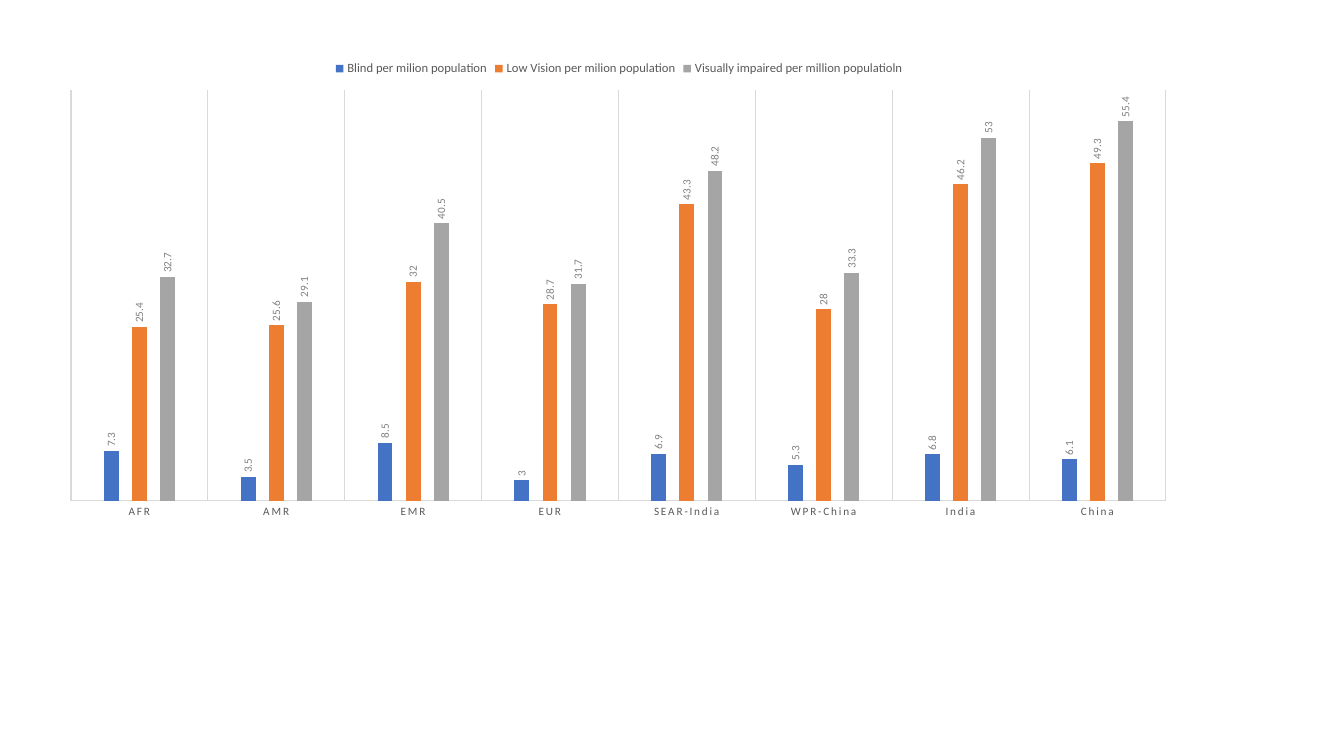
from dataclasses import dataclass

from lxml.etree import SubElement
from pptx import Presentation
from pptx.chart.data import CategoryChartData
from pptx.dml.color import RGBColor
from pptx.enum.chart import (XL_CHART_TYPE, XL_LABEL_POSITION, XL_LEGEND_POSITION,
                             XL_TICK_LABEL_POSITION, XL_TICK_MARK)
from pptx.oxml.ns import qn
from pptx.util import Emu, Pt

EMU_PER_PIXEL = 914400 / 100.8
SLIDE_SIZE = (1344, 756)
CHART_BOX = (49, 50, 1140, 478)
PLOT_BOX = (71, 90, 1095, 411)

REGIONS = ("AFR", "AMR", "EMR", "EUR", "SEAR-India", "WPR-China", "India", "China")
RATES = {
    "Blind per milion population": (7.3, 3.5, 8.5, 3, 6.9, 5.3, 6.8, 6.1),
    "Low Vision per milion population": (25.4, 25.6, 32, 28.7, 43.3, 28, 46.2, 49.3),
    "Visually impaired per million populatioln": (32.7, 29.1, 40.5, 31.7, 48.2, 33.3, 53, 55.4),
}


@dataclass(frozen=True)
class Theme:
    """Colours, font and type sizes of the slide."""
    font: str = "Calibri"
    series: tuple = ("4472C4", "ED7D31", "A5A5A5")
    text: str = "595959"
    label: str = "808080"
    rule: str = "D9D9D9"
    base_size: int = 10
    legend_size: int = 9
    small_size: int = 8
    rule_width: float = 0.75
    axis_spacing: int = 120


def pixels(value):
    """Turn picture pixels into EMU."""
    return Emu(round(value * EMU_PER_PIXEL))


class SlideBuilder:
    """Holds the theme and the current slide."""

    def __init__(self, slide, theme):
        """Keep the slide and its style."""
        self.slide = slide
        self.theme = theme

    def style_font(self, font, size, color):
        """Set face, size and colour of a font."""
        font.name = self.theme.font
        font.size = Pt(size)
        font.bold = False
        font.color.rgb = RGBColor.from_string(color)

    def style_rule(self, line):
        """Draw a thin grey rule."""
        line.color.rgb = RGBColor.from_string(self.theme.rule)
        line.width = Pt(self.theme.rule_width)

    def add_column_chart(self, box, plot_box, categories, series_values):
        """Add a clustered column chart with its legend, axes and labels."""
        data = CategoryChartData()
        data.categories = categories
        for name, values in series_values.items():
            data.add_series(name, values)
        chart = self.slide.shapes.add_chart(
            XL_CHART_TYPE.COLUMN_CLUSTERED, *map(pixels, box), data).chart
        self.style_font(chart.font, self.theme.base_size, "000000")
        chart.has_title = False
        self.style_legend(chart)
        self.style_axes(chart)
        plot = chart.plots[0]
        plot.gap_width = 444
        plot.overlap = -90
        plot.vary_by_categories = False
        for series, color in zip(plot.series, self.theme.series):
            self.style_series(series, color)
        self.place_plot(chart, box, plot_box)

    def style_legend(self, chart):
        """Put the legend above the columns."""
        chart.has_legend = True
        chart.legend.position = XL_LEGEND_POSITION.TOP
        chart.legend.include_in_layout = False
        self.style_font(chart.legend.font, self.theme.legend_size, self.theme.text)

    def style_axes(self, chart):
        """Show the region axis with dividers and hide the value axis."""
        region_axis = chart.category_axis
        region_axis.major_tick_mark = XL_TICK_MARK.NONE
        region_axis.minor_tick_mark = XL_TICK_MARK.NONE
        region_axis.tick_label_position = XL_TICK_LABEL_POSITION.NEXT_TO_AXIS
        region_axis.has_major_gridlines = True
        self.style_rule(region_axis.major_gridlines.format.line)
        self.style_rule(region_axis.format.line)
        font = region_axis.tick_labels.font
        self.style_font(font, self.theme.small_size, self.theme.text)
        text_properties = region_axis._element.find(qn("c:txPr"))
        run_properties = next(text_properties.iter(qn("a:defRPr")))
        run_properties.set("spc", str(self.theme.axis_spacing))
        value_axis = chart.value_axis
        value_axis.minimum_scale = 0
        value_axis.maximum_scale = 60
        value_axis.has_major_gridlines = False
        value_axis.visible = False

    def style_series(self, series, color):
        """Colour one series and stand its value labels upright."""
        series.invert_if_negative = False
        series.format.fill.solid()
        series.format.fill.fore_color.rgb = RGBColor.from_string(color)
        labels = series.data_labels
        labels.show_value = True
        labels.position = XL_LABEL_POSITION.OUTSIDE_END
        self.style_font(labels.font, self.theme.small_size, self.theme.label)
        body = next(labels._element.iter(qn("a:bodyPr")))
        body.set("rot", "-5400000")
        body.set("vert", "horz")

    def place_plot(self, chart, box, plot_box):
        """Fix the inner plot area as fractions of the chart box."""
        left, top, width, height = box
        plot_left, plot_top, plot_width, plot_height = plot_box
        plot_area = next(chart._chartSpace.iter(qn("c:plotArea")))
        for old_layout in plot_area.findall(qn("c:layout")):
            plot_area.remove(old_layout)
        layout = SubElement(plot_area, qn("c:layout"))
        plot_area.insert(0, layout)
        manual = SubElement(layout, qn("c:manualLayout"))
        settings = {
            "layoutTarget": "inner", "xMode": "edge", "yMode": "edge",
            "x": (plot_left - left) / width, "y": (plot_top - top) / height,
            "w": plot_width / width, "h": plot_height / height,
        }
        for tag, value in settings.items():
            SubElement(manual, qn(f"c:{tag}")).set("val", str(value))


def main():
    """Build and save the presentation."""
    presentation = Presentation()
    presentation.slide_width, presentation.slide_height = map(pixels, SLIDE_SIZE)
    blank_layout = presentation.slide_layouts[6]
    builder = SlideBuilder(presentation.slides.add_slide(blank_layout), Theme())
    builder.add_column_chart(CHART_BOX, PLOT_BOX, REGIONS, RATES)
    presentation.save("out.pptx")


main()
